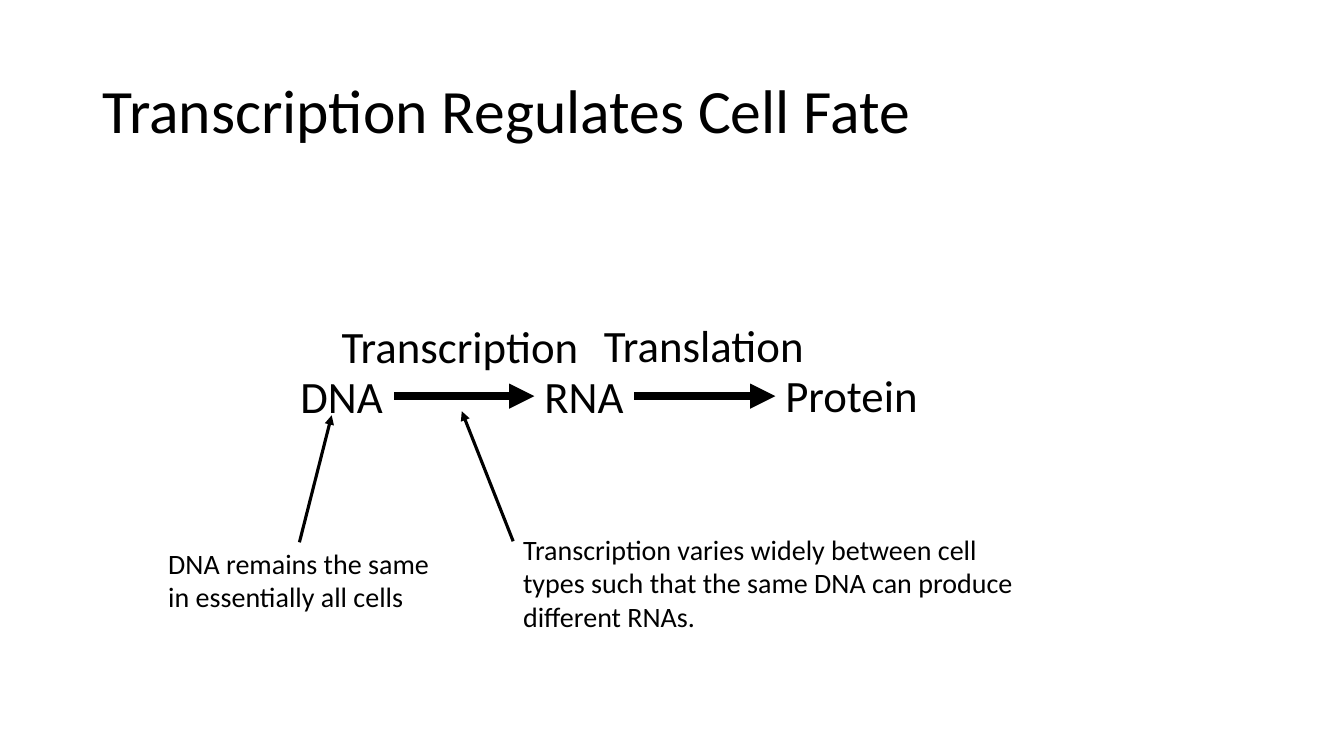
from dataclasses import dataclass

from lxml.etree import SubElement
from pptx import Presentation
from pptx.dml.color import RGBColor
from pptx.enum.shapes import MSO_CONNECTOR
from pptx.enum.text import MSO_ANCHOR, MSO_AUTO_SIZE, PP_ALIGN
from pptx.oxml.ns import qn
from pptx.slide import Slide
from pptx.text.text import _Paragraph as Paragraph
from pptx.util import Inches, Pt

BLACK = RGBColor(0, 0, 0)
FONT = "Calibri"
FLOW_Y = 3.93
LABEL_HEIGHT = 0.64


@dataclass(frozen=True)
class Label:
    text: str
    left: float
    top: float
    width: float
    height: float = LABEL_HEIGHT
    size: float = 32
    wrap: bool = False


@dataclass(frozen=True)
class Arrow:
    start: tuple[float, float]
    end: tuple[float, float]
    weight: float


MOLECULES = [
    Label("DNA", 2.88, 3.61, 1.03),
    Label("RNA", 5.3, 3.61, 0.99),
    Label("Protein", 7.69, 3.6, 1.53),
]
PROCESSES = [
    Label("Transcription", 3.29, 3.11, 2.58),
    Label("Translation", 5.89, 3.1, 2.21),
]
NOTES = [
    Label("DNA remains the same in essentially all cells",
          1.57, 5.37, 2.8, 0.77, 20, True),
    Label("Transcription varies widely between cell types such that "
          "the same DNA can produce different RNAs.",
          5.09, 5.23, 5.27, 1.11, 20, True),
]
FLOW_ARROWS = [
    Arrow((a.left + a.width, FLOW_Y), (b.left, FLOW_Y), 6)
    for a, b in zip(MOLECULES, MOLECULES[1:])
]
NOTE_ARROWS = [
    Arrow((2.97, 5.38), (3.29, 4.12), 2.25),
    Arrow((5.09, 5.37), (4.58, 4.08), 2.25),
]


def style(p: Paragraph, size: float) -> None:
    """Apply the slide's font to a paragraph."""
    p.alignment = PP_ALIGN.LEFT
    p.font.name = FONT
    p.font.size = Pt(size)
    p.font.color.rgb = BLACK


def add_title(s: Slide, text: str) -> None:
    """Place and fill the title placeholder."""
    sp = s.shapes.title
    sp.left, sp.top = Inches(0.92), Inches(0.4)
    sp.width, sp.height = Inches(11.5), Inches(1.45)
    tf = sp.text_frame
    tf.text = text
    tf.auto_size = MSO_AUTO_SIZE.NONE
    tf.vertical_anchor = MSO_ANCHOR.MIDDLE
    p = tf.paragraphs[0]
    p.line_spacing = 0.9
    style(p, 44)


def add_label(s: Slide, label: Label) -> None:
    """Add a text box for a label or note."""
    sp = s.shapes.add_textbox(Inches(label.left), Inches(label.top),
                              Inches(label.width), Inches(label.height))
    tf = sp.text_frame
    tf.text = label.text
    tf.word_wrap = label.wrap
    tf.auto_size = MSO_AUTO_SIZE.SHAPE_TO_FIT_TEXT
    style(tf.paragraphs[0], label.size)


def add_arrow(s: Slide, arrow: Arrow) -> None:
    """Add a straight connector with a triangular head."""
    points = [Inches(v) for v in arrow.start + arrow.end]
    sp = s.shapes.add_connector(MSO_CONNECTOR.STRAIGHT, *points)
    sp.line.color.rgb = BLACK
    sp.line.width = Pt(arrow.weight)
    SubElement(sp.line._get_or_add_ln(), qn("a:tailEnd"), type="triangle")
    SubElement(sp._element.spPr, qn("a:effectLst"))


def main() -> None:
    """Build and save the slide."""
    prs = Presentation()
    prs.slide_width, prs.slide_height = Inches(13.33), Inches(7.5)
    s = prs.slides.add_slide(prs.slide_layouts[5])
    add_title(s, "Transcription Regulates Cell Fate")
    for label in MOLECULES + PROCESSES + NOTES:
        add_label(s, label)
    for arrow in FLOW_ARROWS + NOTE_ARROWS:
        add_arrow(s, arrow)
    prs.save("out.pptx")


main()
